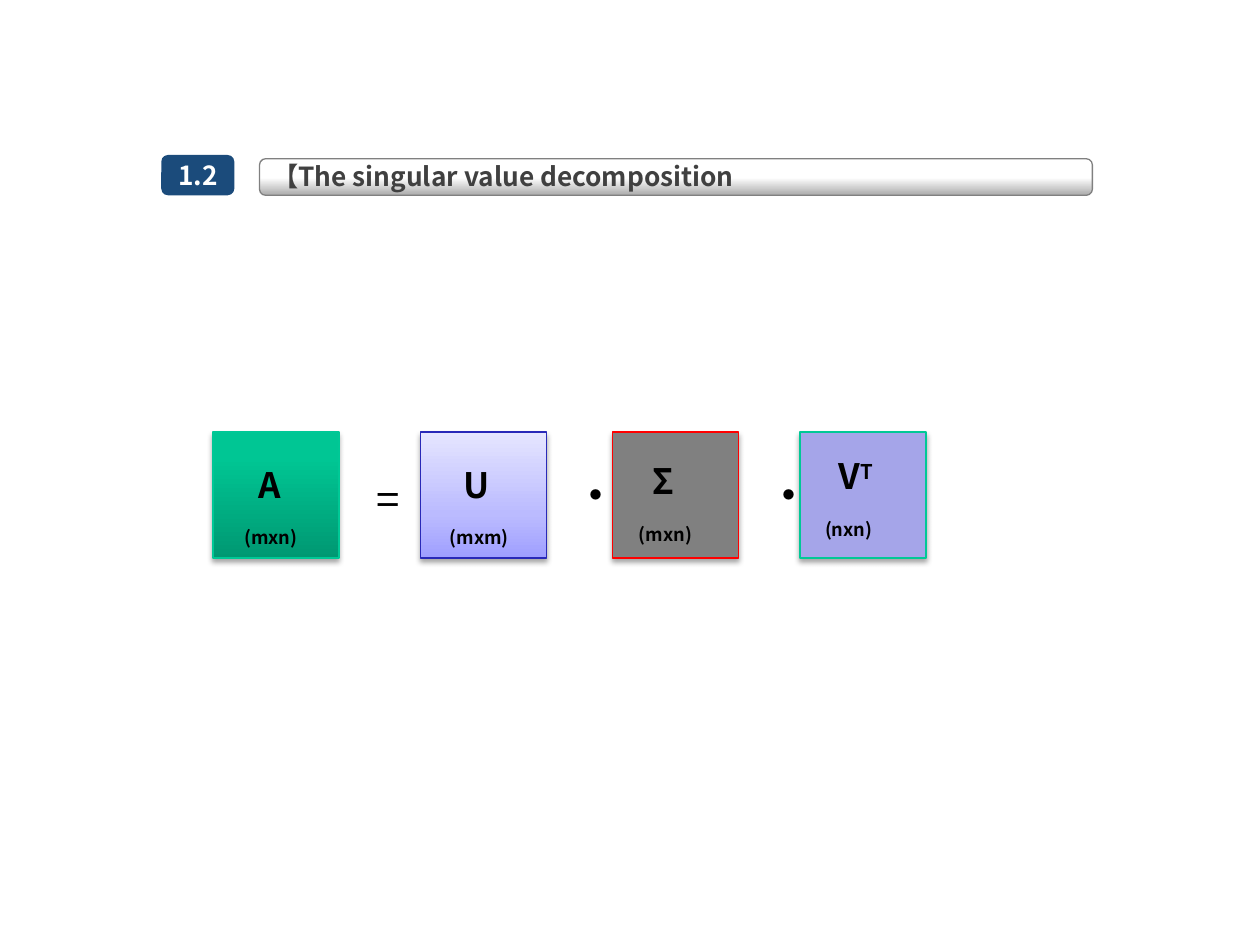
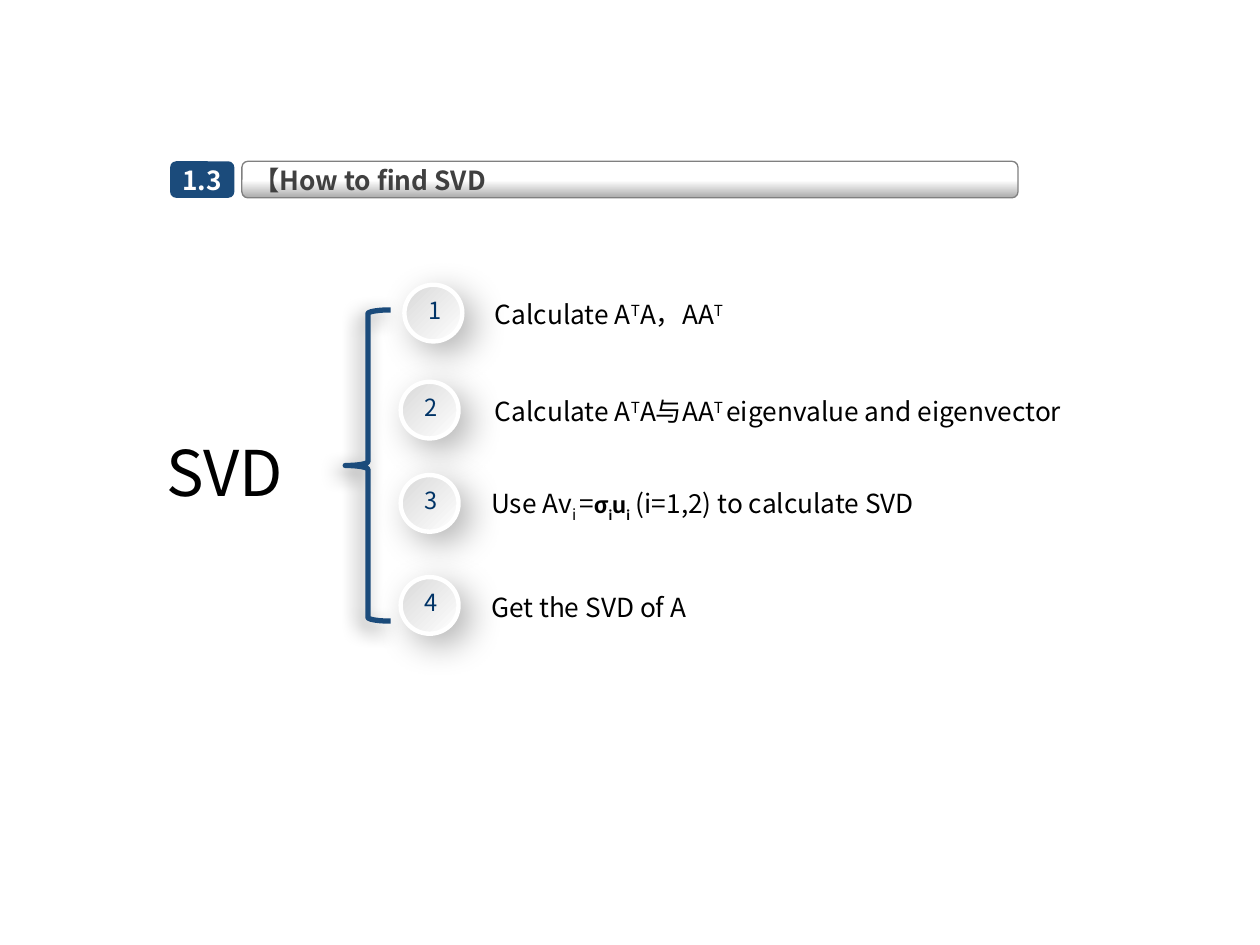
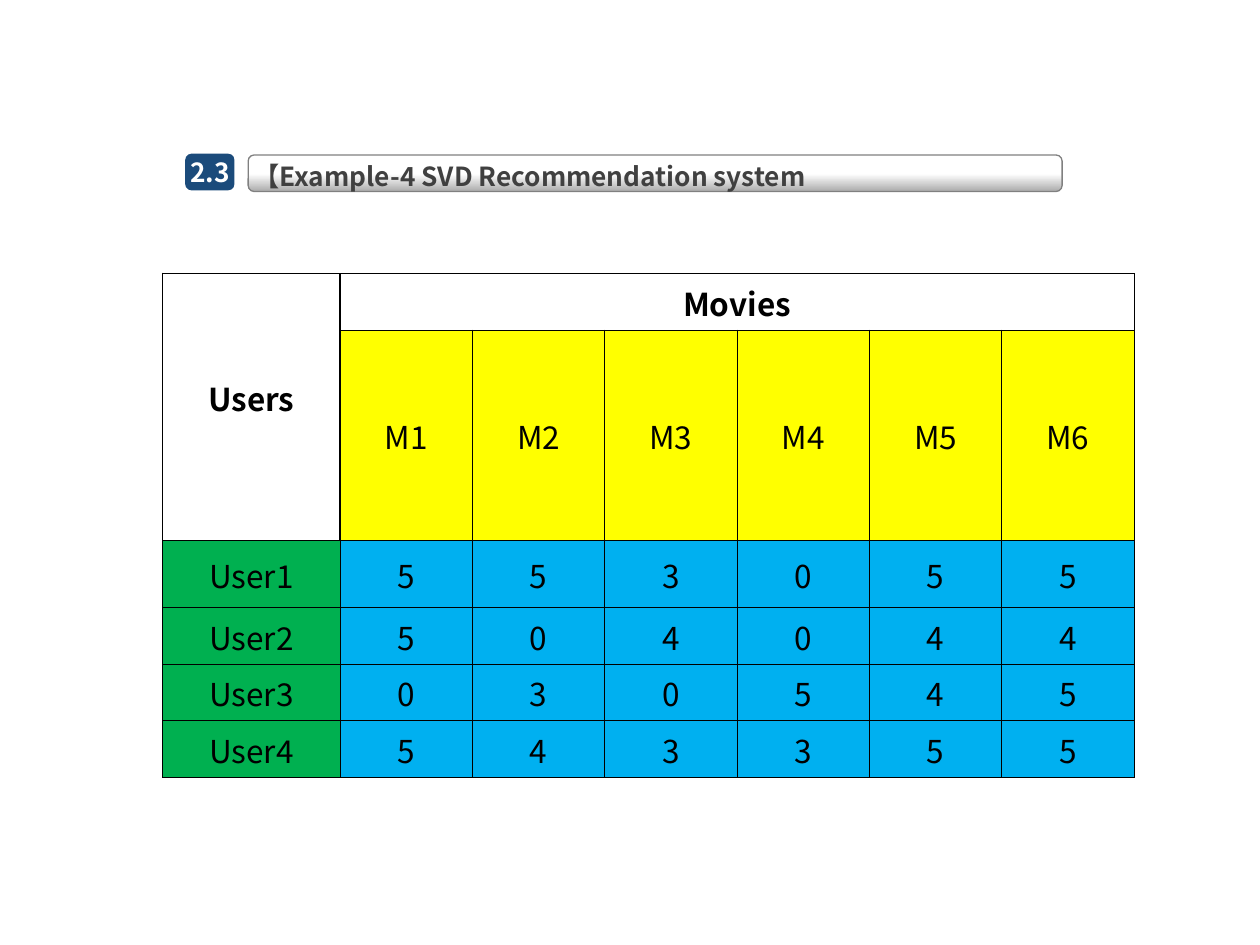
import pptx
import pptx.dml.color
import pptx.enum.shapes
import pptx.enum.text
import pptx.oxml
import pptx.oxml.ns
import pptx.util
from lxml import etree

Inches, Pt = pptx.util.Inches, pptx.util.Pt
SHAPE = pptx.enum.shapes.MSO_SHAPE
ALIGN = pptx.enum.text.PP_ALIGN
ANCHOR = pptx.enum.text.MSO_ANCHOR
AUTO_SIZE = pptx.enum.text.MSO_AUTO_SIZE
qn = pptx.oxml.ns.qn

FONT, MATH_FONT = "Noto Sans CJK SC", "Calibri"
SUP, SUB = 30, -25
COLORS = {
    "text": "000000", "title": "404040", "white": "FFFFFF", "navy": "1B4B7B",
    "bar_line": "808080", "number": "003366", "teal": "00C896", "blue": "2929B8",
    "gray": "808080", "red": "FF0000", "lilac": "A5A5E9", "movie": "FFFF00",
    "user": "00B050", "rating": "00B0F0",
}
# Gradients: (stops as (percent, colour), angle in degrees)
BAR_FILL = [(0, "ABABAB"), (48, "FFFFFF"), (100, "FFFFFF")], 270
TEAL_FILL = [(0, "009872"), (80, "00C694"), (100, "00C795")], 270
BLUE_FILL = [(0, "9F9FFF"), (35, "BBBBFF"), (100, "E5E5FF")], 270
CIRCLE_FILL = [(0, "D9D9D9"), (100, "FFFFFF")], 45
# Shadows: opacity percent, blur points, distance points, angle degrees
TILE_SHADOW = 35, 3.1, 1.8, 90
CIRCLE_SHADOW = 30, 20, 8, 45
BRACE_SHADOW = 50, 11, 5, 135

# Headings: number, title, badge box, bar box, title left and top
HEADINGS = [
    ("1.2", "【The singular value decomposition",
     (1.28, 1.23, 0.58, 0.32), (2.06, 1.26, 6.61, 0.29), (2.06, 1.22)),
    ("1.3", "【How to find SVD",
     (1.35, 1.28, 0.51, 0.29), (1.92, 1.28, 6.16, 0.29), (1.91, 1.25)),
    ("2.3", "【Example-4 SVD Recommendation system",
     (1.47, 1.22, 0.39, 0.29), (1.97, 1.23, 6.46, 0.29), (1.91, 1.22)),
]

# Matrices: tile left, fill, line, letter spans, dimensions, label box
TILE_TOP, TILE_SIZE = 3.43, 1
MATRICES = [
    (1.69, TEAL_FILL, "teal", [("A",)], "(mxn)", (1.84, 3.63, 0.74, 0.65)),
    (3.34, BLUE_FILL, "blue", [("U",)], "(mxm)", (3.47, 3.63, 0.8, 0.65)),
    (4.86, "gray", "red", [("Σ",)], "(mxn)", (4.97, 3.6, 0.74, 0.65)),
    (6.35, "lilac", "teal", [("V",), ("T", SUP)], "(nxn)", (6.45, 3.56, 0.68, 0.65)),
]
OPERATORS = [
    ("=", 24, (2.89, 3.71, 0.46, 0.5)),
    ("·", 28, (4.44, 3.64, 0.27, 0.57)),
    ("·", 28, (5.97, 3.64, 0.38, 0.57)),
]

# Steps: circle left and top, text left and top, spans (text, baseline, font)
STEPS = [
    ((3.21, 2.26), (3.83, 2.32),
     [("Calculate A",), ("T", SUP), ("A，AA",), ("T", SUP)]),
    ((3.18, 3.03), (3.83, 3.09),
     [("Calculate A",), ("T", SUP), ("A与AA",), ("T ", SUP),
      ("eigenvalue and eigenvector",)]),
    ((3.18, 3.77), (3.8, 3.82),
     [("Use Av",), ("i ", SUB), ("=",), ("σ", 0, MATH_FONT), ("i", SUB, MATH_FONT),
      ("u", 0, MATH_FONT), ("i", SUB, MATH_FONT), (" (i=1,2) to calculate SVD",)]),
    ((3.18, 4.58), (3.8, 4.64), [("Get the SVD of A",)]),
]

MOVIES = ["M1", "M2", "M3", "M4", "M5", "M6"]
RATINGS = {
    "User1": [5, 5, 3, 0, 5, 5],
    "User2": [5, 0, 4, 0, 4, 4],
    "User3": [0, 3, 0, 5, 4, 5],
    "User4": [5, 4, 3, 3, 5, 5],
}
USER_WIDTH, MOVIE_WIDTH = 1.41, 1.05
ROW_HEIGHTS = [0.45, 1.67, 0.53, 0.45, 0.45, 0.45]


def inches(values):
    return [Inches(value) for value in values]


def rgb(name):
    return pptx.dml.color.RGBColor.from_string(COLORS[name])


def add_xml(parent, tag, **attributes):
    return etree.SubElement(parent, qn(tag), {k: str(v) for k, v in attributes.items()})


def set_font(font, size, color="text", bold=False):
    font.size, font.bold = Pt(size), bold
    font.color.rgb = rgb(color)
    font.name = FONT
    add_xml(font._element, "a:ea", typeface=FONT)


def write(para, spans, size, color="text", bold=False):
    set_font(para.font, size, color, bold)
    for text, *style in spans:
        span = para.add_run()
        span.text = text
        if style and style[0]:
            span.font._element.set("baseline", str(style[0] * 1000))
        if len(style) > 1:
            span.font.name, span.font.bold = style[1], True


def add_text(page, place, spans, size, color="text", bold=False, wrap=True):
    box = page.shapes.add_textbox(*inches(place))
    box.text_frame.word_wrap = wrap
    box.text_frame.auto_size = AUTO_SIZE.SHAPE_TO_FIT_TEXT
    write(box.text_frame.paragraphs[0], spans, size, color, bold)
    return box


def add_figure(page, kind, place, fill=None, line=None, width=0.75, shadow=None):
    """Add a preset shape; fill is a colour name, a gradient or None."""
    shape = page.shapes.add_shape(kind, *inches(place))
    if fill is None:
        shape.fill.background()
    elif isinstance(fill, str):
        shape.fill.solid()
        shape.fill.fore_color.rgb = rgb(fill)
    else:
        shape.fill.gradient()
        gradient = shape._element.spPr.find(qn("a:gradFill"))
        for child in list(gradient):
            gradient.remove(child)
        stops, angle = fill
        stop_list = add_xml(gradient, "a:gsLst")
        for percent, color in stops:
            stop = add_xml(stop_list, "a:gs", pos=percent * 1000)
            add_xml(stop, "a:srgbClr", val=color)
        add_xml(gradient, "a:lin", ang=angle * 60000, scaled=0)
    if line:
        shape.line.color.rgb = rgb(line)
        shape.line.width = Pt(width)
    else:
        shape.line.fill.background()
    shape.shadow.inherit = False
    if shadow:
        opacity, blur, distance, angle = shadow
        effects = shape._element.spPr.find(qn("a:effectLst"))
        outer = add_xml(effects, "a:outerShdw", blurRad=Pt(blur), dist=Pt(distance),
                        dir=angle * 60000, algn="ctr", rotWithShape=0)
        color = add_xml(outer, "a:srgbClr", val=COLORS["text"])
        add_xml(color, "a:alpha", val=opacity * 1000)
    return shape


def add_page(deck, heading):
    number, title_text, badge_place, bar_place, title_at = heading
    page = deck.slides.add_slide(deck.slide_layouts[5])
    add_figure(page, SHAPE.ROUNDED_RECTANGLE, bar_place, BAR_FILL, "bar_line")

    title = page.shapes.title
    title.left, title.top, title.width, title.height = inches((*title_at, 6.74, 0.35))
    frame = title.text_frame
    frame.auto_size, frame.vertical_anchor = AUTO_SIZE.NONE, ANCHOR.TOP
    frame.paragraphs[0].alignment = ALIGN.LEFT
    write(frame.paragraphs[0], [(title_text,)], 15, "title", True)
    page.shapes._spTree.append(title._element)  # bring the title in front of its bar

    badge = add_figure(page, SHAPE.ROUNDED_RECTANGLE, badge_place, "navy")
    frame = badge.text_frame
    frame.margin_left = frame.margin_right = Inches(0.07)
    frame.margin_top = frame.margin_bottom = Inches(0.04)
    frame.vertical_anchor, frame.word_wrap = ANCHOR.MIDDLE, False
    frame.paragraphs[0].alignment = ALIGN.CENTER
    write(frame.paragraphs[0], [(number,)], 15, "white", True)
    return page


def draw_decomposition(page):
    for left, fill, line, letter, dimensions, label_place in MATRICES:
        add_figure(page, SHAPE.RECTANGLE, (left, TILE_TOP, TILE_SIZE, TILE_SIZE),
                   fill, line, shadow=TILE_SHADOW)
        label = add_text(page, label_place, letter, 20, bold=True, wrap=False)
        first = label.text_frame.paragraphs[0]
        first._p.get_or_add_pPr().set("marL", str(Inches(0.11)))
        write(label.text_frame.add_paragraph(), [(dimensions, SUB)], 18, bold=True)
    for sign, size, place in OPERATORS:
        add_text(page, place, [(sign,)], size)


def draw_steps(page):
    add_text(page, (1.22, 3.39, 1.21, 0.71), [("SVD",)], 36, wrap=False)
    add_figure(page, SHAPE.LEFT_BRACE, (2.74, 2.46, 0.36, 2.47), None, "navy", 3,
               BRACE_SHADOW)
    for number, ((left, top), text_at, spans) in enumerate(STEPS, 1):
        marker = page.shapes.add_group_shape()
        add_figure(marker, SHAPE.OVAL, (left, top, 0.46, 0.45), CIRCLE_FILL, "white",
                   2.5, CIRCLE_SHADOW)
        add_text(marker, (left + 0.09, top + 0.04, 0.34, 0.33), [(str(number),)], 13.5,
                 "number")
        add_text(page, (*text_at, 5, 0.35), spans, 15)


def set_borders(cell, heavy_sides):
    properties = cell._tc.get_or_add_tcPr()
    for position, side in enumerate("LRTB"):
        width = 1 if side in heavy_sides else 0.5
        line = pptx.oxml.parse_xml(
            f'<a:ln{side} {pptx.oxml.ns.nsdecls("a")} w="{Pt(width)}"><a:solidFill>'
            f'<a:srgbClr val="{COLORS["text"]}"/></a:solidFill></a:ln{side}>')
        properties.insert(position, line)


def draw_ratings(page):
    rows = [["Users", "Movies"] + [""] * (len(MOVIES) - 1), [""] + MOVIES]
    rows += [[user, *map(str, ratings)] for user, ratings in RATINGS.items()]
    widths = [USER_WIDTH] + [MOVIE_WIDTH] * len(MOVIES)
    frame = page.shapes.add_table(len(rows), len(widths), *inches(
        (1.29, 2.17, sum(widths), sum(ROW_HEIGHTS))))
    table = frame.table
    table.first_row = table.horz_banding = False
    for column, width in zip(table.columns, widths):
        column.width = Inches(width)
    for row, height in zip(table.rows, ROW_HEIGHTS):
        row.height = Inches(height)
    table.cell(0, 0).merge(table.cell(1, 0))
    table.cell(0, 1).merge(table.cell(0, len(MOVIES)))

    for r, row in enumerate(rows):
        for c, text in enumerate(row):
            cell = table.cell(r, c)
            if r == 0 or (r, c) == (1, 0):
                fill = "white"
            elif r == 1:
                fill = "movie"
            else:
                fill = "rating" if c else "user"
            cell.fill.solid()
            cell.fill.fore_color.rgb = rgb(fill)
            cell.vertical_anchor = ANCHOR.MIDDLE
            cell.margin_left = cell.margin_right = cell.margin_top = Inches(0.01)
            cell.margin_bottom = Inches(0.16 if text == "Users" else 0)
            heavy_sides = {0: "LRT", 1: "L"}.get(c, "") if r < 2 else ""
            set_borders(cell, heavy_sides)
            if text:
                para = cell.text_frame.paragraphs[0]
                para.alignment = ALIGN.CENTER
                write(para, [(text,)], 18, bold=r == 0)


def main():
    deck = pptx.Presentation()
    deck.slide_width, deck.slide_height = Inches(10), Inches(7.5)
    for heading, draw in zip(HEADINGS, (draw_decomposition, draw_steps, draw_ratings)):
        draw(add_page(deck, heading))
    deck.save("out.pptx")


if __name__ == "__main__":
    main()
